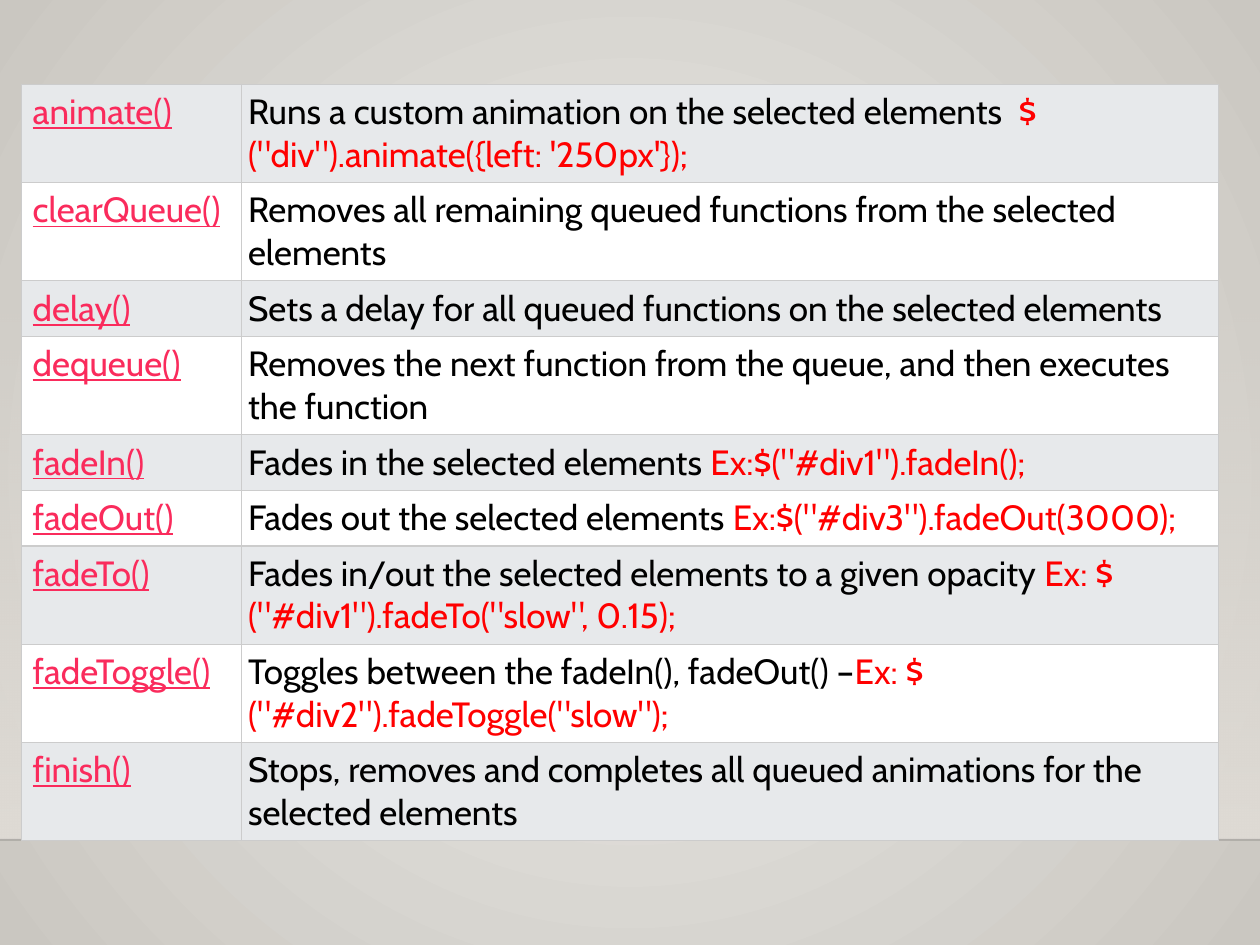
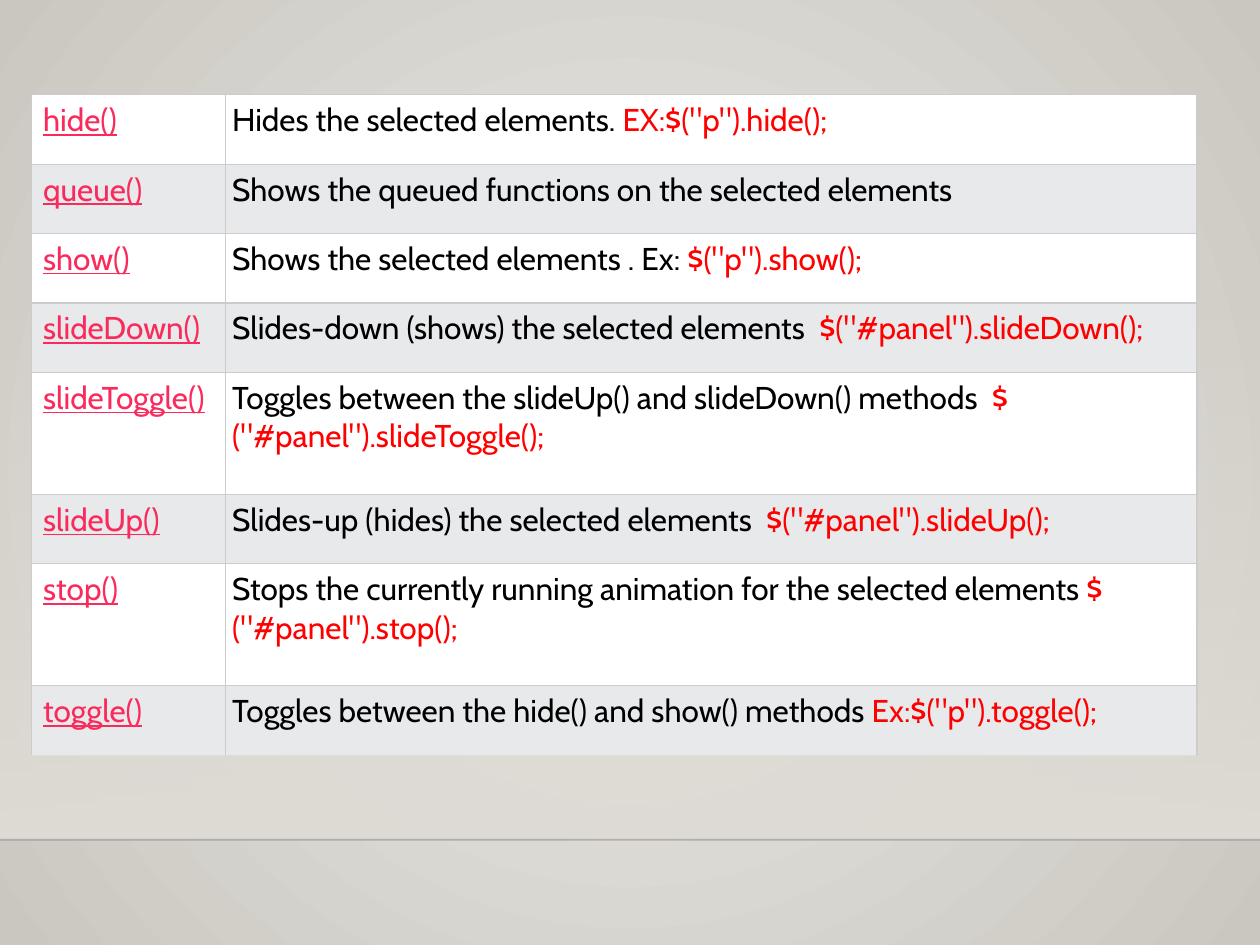
from dataclasses import dataclass

from lxml import etree
from pptx import Presentation, util as u
from pptx.dml.color import RGBColor
from pptx.enum import shapes
from pptx.oxml import parse_xml
from pptx.oxml.ns import nsdecls, qn

FONT = "Cabin"
BACKDROP_CENTRE, BACKDROP_EDGE = "ECEAE7", "CAC7C1"
BAND = "DFDBD5"
HORIZON = "000001"
LINK, BODY, CODE = "FA2B5C", "000000", "FF0000"
GREY_ROW, WHITE_ROW = "E7E9EB", "FFFFFF"
BORDER, PALE_BORDER = "CCCCCC", "DDDDDD"

SLIDE_WIDTH, SLIDE_HEIGHT = u.Cm(25.4), u.Cm(19.05)
BAND_TOP, HORIZON_TOP = u.Cm(5.59), u.Cm(16.93)
NAME_INSET, CELL_INSET = u.Cm(0.23), u.Cm(0.13)


@dataclass
class Method:
    name: str
    description: str
    example: str = ""
    lines: int = 1


@dataclass
class MethodTable:
    left: float
    top: float
    column_widths: tuple[float, float]
    row_heights: dict[int, float]
    font_size: int
    row_fills: tuple[str, str]
    bottom_border: str
    methods: list[Method]


METHOD_TABLES = [
    MethodTable(
        0.43, 1.7, (4.44, 19.69), {1: 1.08, 2: 1.94}, 20, (GREY_ROW, WHITE_ROW), BORDER,
        [
            Method("animate()", "Runs a custom animation on the selected elements  ",
                   "$(\"div\").animate({left: '250px'});", lines=2),
            Method("clearQueue()",
                   "Removes all remaining queued functions from the selected elements", lines=2),
            Method("delay()", "Sets a delay for all queued functions on the selected elements"),
            Method("dequeue()",
                   "Removes the next function from the queue, and then executes the function",
                   lines=2),
            Method("fadeIn()", "Fades in the selected elements ", 'Ex:$("#div1").fadeIn();'),
            Method("fadeOut()", "Fades out the selected elements ",
                   'Ex:$("#div3").fadeOut(3000);'),
            Method("fadeTo()", "Fades in/out the selected elements to a given opacity ",
                   'Ex: $("#div1").fadeTo("slow", 0.15);', lines=2),
            Method("fadeToggle()", "Toggles between the fadeIn(), fadeOut() –",
                   'Ex: $("#div2").fadeToggle("slow");', lines=2),
            Method("finish()",
                   "Stops, removes and completes all queued animations for the selected elements",
                   lines=2),
        ],
    ),
    MethodTable(
        0.64, 1.91, (3.91, 19.58), {1: 1.4, 2: 2.46}, 18, (WHITE_ROW, GREY_ROW), PALE_BORDER,
        [
            Method("hide()", "Hides the selected elements. ", 'EX:$("p").hide();'),
            Method("queue()", "Shows the queued functions on the selected elements"),
            Method("show()", "Shows the selected elements . Ex: ", '$("p").show();'),
            Method("slideDown()", "Slides-down (shows) the selected elements  ",
                   '$("#panel").slideDown();'),
            Method("slideToggle()", "Toggles between the slideUp() and slideDown() methods  ",
                   '$("#panel").slideToggle();', lines=2),
            Method("slideUp()", "Slides-up (hides) the selected elements  ",
                   '$("#panel").slideUp();'),
            Method("stop()", "Stops the currently running animation for the selected elements ",
                   '$("#panel").stop();', lines=2),
            Method("toggle()", "Toggles between the hide() and show() methods ",
                   'Ex:$("p").toggle();'),
        ],
    ),
]


def rgb(color: str) -> RGBColor:
    return RGBColor.from_string(color)


def set_gradient(fill, start: str, end: str) -> None:
    """Fill from start at the top to end at the bottom."""
    fill.gradient()
    fill.gradient_angle = 270
    for stop, color in zip(fill.gradient_stops, (start, end)):
        stop.color.rgb = rgb(color)


def set_opacity(color_element, percent: int) -> None:
    etree.SubElement(color_element, qn("a:alpha"), val=str(percent * 1000))


def draw_backdrop(slide) -> None:
    set_gradient(slide.background.fill, BACKDROP_CENTRE, BACKDROP_EDGE)
    linear = slide.element.xpath("p:cSld/p:bg//a:lin")[0]
    radial = parse_xml(
        f'<a:path {nsdecls("a")} path="circle">'
        '<a:fillToRect l="50000" t="50000" r="50000" b="50000"/></a:path>'
    )
    linear.getparent().replace(linear, radial)

    band = slide.shapes.add_shape(
        shapes.MSO_SHAPE.RECTANGLE, 0, BAND_TOP, SLIDE_WIDTH, HORIZON_TOP - BAND_TOP
    )
    band.shadow.inherit = False
    band.line.fill.background()
    set_gradient(band.fill, BAND, BAND)
    set_opacity(band.element.xpath("p:spPr//a:srgbClr")[0], 0)

    horizon = slide.shapes.add_connector(
        shapes.MSO_CONNECTOR.STRAIGHT, 0, HORIZON_TOP, SLIDE_WIDTH, HORIZON_TOP
    )
    horizon.line.width = u.Pt(1)
    horizon.line.color.rgb = rgb(HORIZON)
    properties = horizon.element.spPr
    set_opacity(properties.xpath(".//a:srgbClr")[0], 20)
    etree.SubElement(properties, qn("a:effectLst"))


def add_run(cell, words: str, size: int, color: str, underline: bool = False) -> None:
    run = cell.text_frame.paragraphs[0].add_run()
    run.text = words
    run.font.name = FONT
    run.font.size = u.Pt(size)
    run.font.color.rgb = rgb(color)
    run.font.underline = underline


def style_cell(cell, left_inset: int, color: str) -> None:
    cell.margin_left = left_inset
    cell.margin_right = cell.margin_top = cell.margin_bottom = CELL_INSET
    cell.fill.solid()
    cell.fill.fore_color.rgb = rgb(color)


def add_borders(cell_properties, bottom_color: str) -> None:
    """Put the four borders ahead of the cell's fill, as the schema demands."""
    for index, side in enumerate("LRTB"):
        color = bottom_color if side == "B" else BORDER
        border = parse_xml(
            f'<a:ln{side} {nsdecls("a")} w="{u.Pt(0.75)}"><a:solidFill>'
            f'<a:srgbClr val="{color}"/></a:solidFill></a:ln{side}>'
        )
        cell_properties.insert(index, border)


def draw_method_table(slide, content: MethodTable) -> None:
    heights = [content.row_heights[method.lines] for method in content.methods]
    frame = slide.shapes.add_table(
        len(heights), 2, u.Cm(content.left), u.Cm(content.top),
        u.Cm(sum(content.column_widths)), u.Cm(sum(heights)),
    )
    table = frame.table
    table.first_row = table.horz_banding = False
    for column, width in zip(table.columns, content.column_widths):
        column.width = u.Cm(width)

    for index, (row, method, height) in enumerate(zip(table.rows, content.methods, heights)):
        row.height = u.Cm(height)
        name_cell, description_cell = row.cells
        row_fill = content.row_fills[index % 2]
        style_cell(name_cell, NAME_INSET, row_fill)
        style_cell(description_cell, CELL_INSET, row_fill)
        add_run(name_cell, method.name, content.font_size, LINK, underline=True)
        add_run(description_cell, method.description, content.font_size, BODY)
        if method.example:
            add_run(description_cell, method.example, content.font_size, CODE)

    table_rows = frame.element.xpath(".//a:tr")
    for table_row in table_rows:
        is_last = table_row is table_rows[-1]
        for cell_properties in table_row.xpath("a:tc/a:tcPr"):
            add_borders(cell_properties, content.bottom_border if is_last else BORDER)


def main() -> None:
    deck = Presentation()
    deck.slide_width, deck.slide_height = SLIDE_WIDTH, SLIDE_HEIGHT
    blank = deck.slide_layouts[6]
    for content in METHOD_TABLES:
        slide = deck.slides.add_slide(blank)
        draw_backdrop(slide)
        draw_method_table(slide, content)
    deck.save("out.pptx")


if __name__ == "__main__":
    main()
